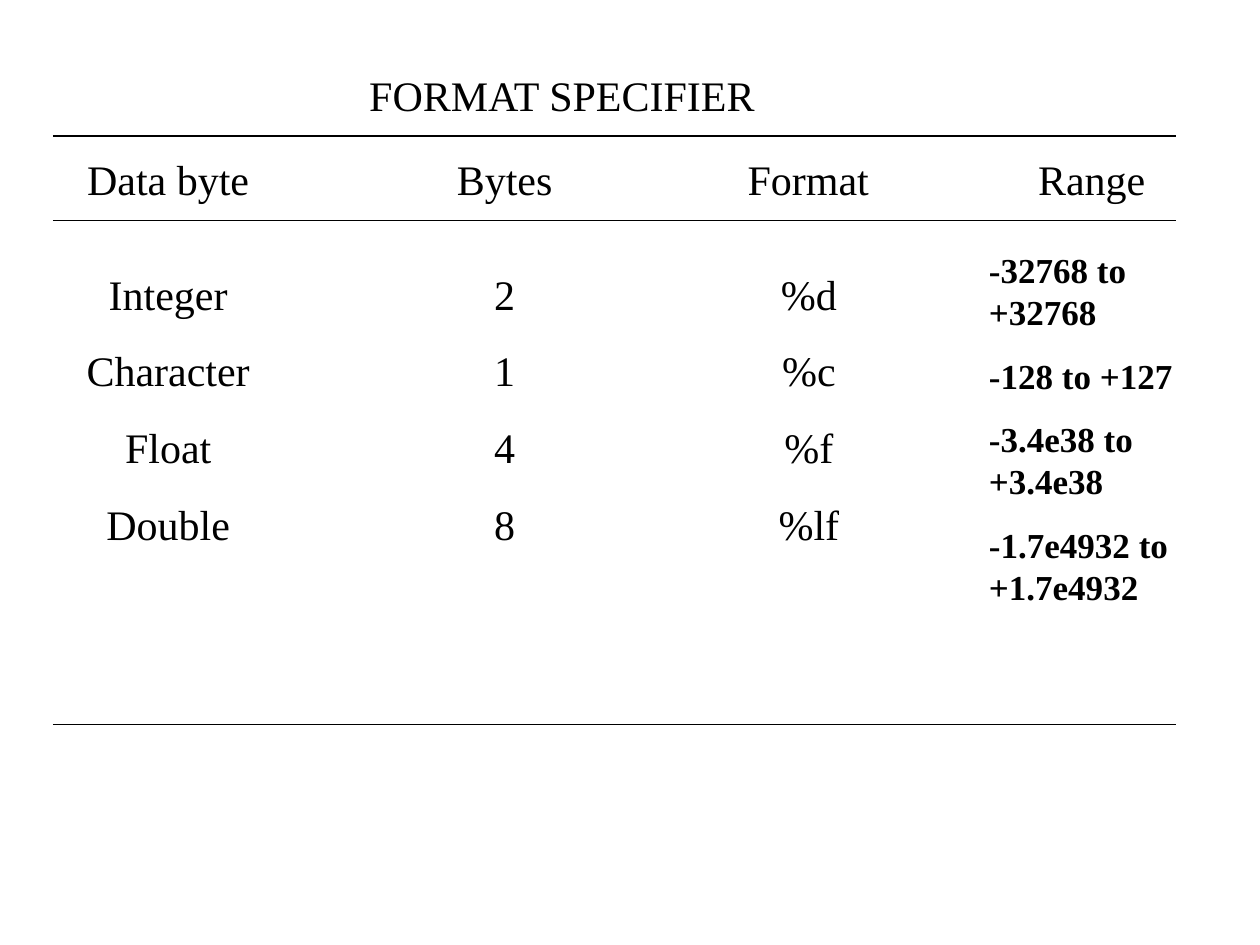
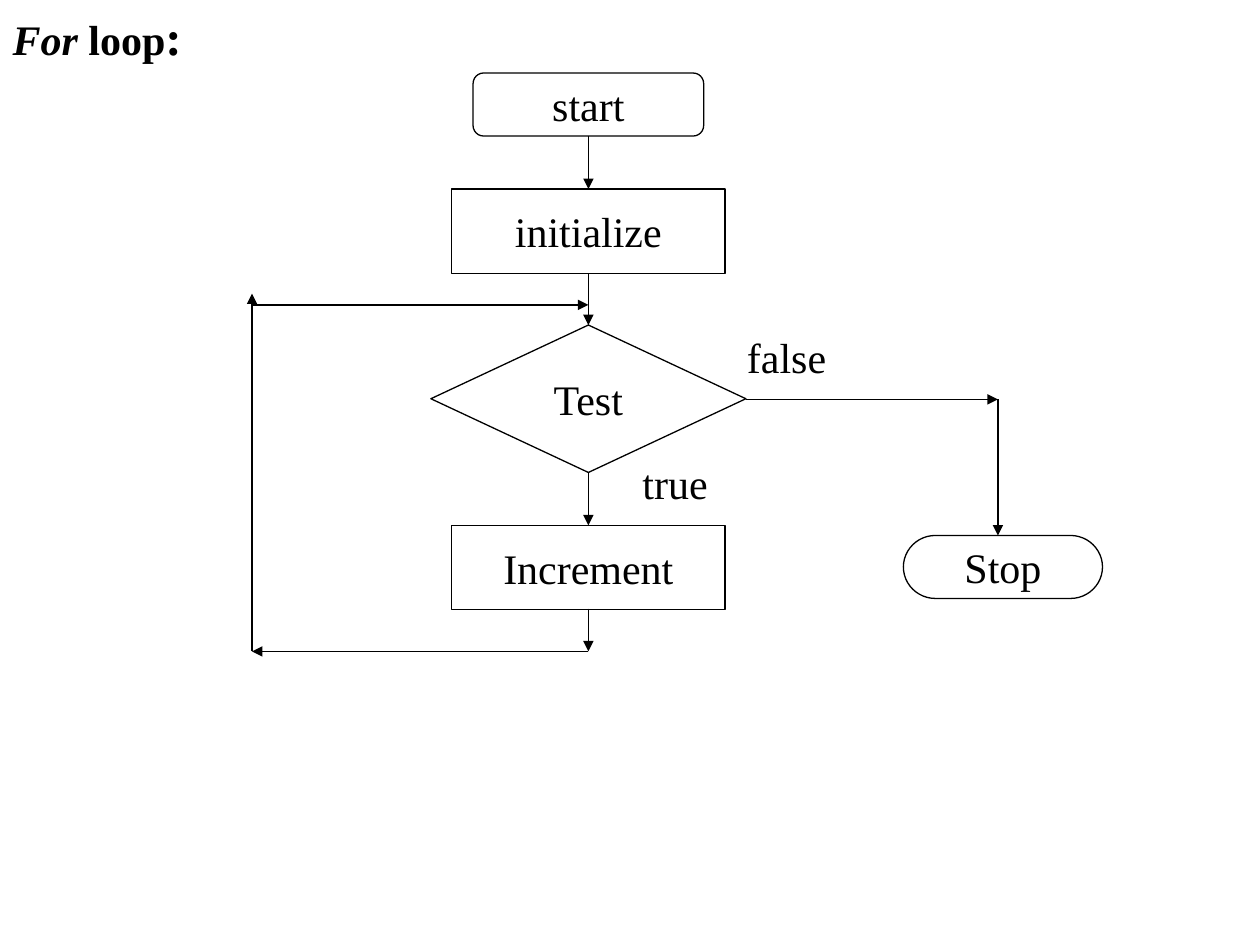
import dataclasses
import itertools

import pptx
import pptx.dml.color
import pptx.enum.shapes
import pptx.enum.text
import pptx.oxml
import pptx.oxml.ns
import pptx.util

Inches = pptx.util.Inches
Pt = pptx.util.Pt
Align = pptx.enum.text.PP_ALIGN
Anchor = pptx.enum.text.MSO_ANCHOR
Fit = pptx.enum.text.MSO_AUTO_SIZE
Kind = pptx.enum.shapes.MSO_SHAPE


@dataclasses.dataclass(frozen=True)
class Theme:
    ink: pptx.dml.color.RGBColor = pptx.dml.color.RGBColor(0, 0, 0)
    paper: pptx.dml.color.RGBColor = pptx.dml.color.RGBColor(255, 255, 255)
    font: str = "Times New Roman"
    body: float = 24
    small: float = 20
    large: float = 28
    line: float = 0.75


THEME = Theme()


def write_text(shape, paragraphs, size=THEME.body, bold=False, align=Align.CENTER,
               before=15, anchor=Anchor.TOP, wrap=True, fit=Fit.SHAPE_TO_FIT_TEXT):
    frame = shape.text_frame
    frame.word_wrap = wrap
    frame.auto_size = fit
    frame.vertical_anchor = anchor
    for index, spans in enumerate(paragraphs):
        para = frame.add_paragraph() if index else frame.paragraphs[0]
        para.alignment = align
        para.space_before = Pt(before)
        if isinstance(spans, str):
            spans = [(spans, {})]
        for text, changes in spans:
            span = para.add_run()
            span.text = text
            span.font.name = THEME.font
            span.font.size = Pt(changes.get("size", size))
            span.font.bold = bold
            span.font.italic = changes.get("italic", False)
            span.font.color.rgb = THEME.ink


def add_page(deck, title, left, top, width, height, **format):
    page = deck.slides.add_slide(deck.slide_layouts[5])
    box = page.shapes.title
    box.left, box.top = Inches(left), Inches(top)
    box.width, box.height = Inches(width), Inches(height)
    write_text(box, [title], **format)
    return page


def add_text(page, paragraphs, left, top, width, height=0.5, **format):
    box = page.shapes.add_textbox(Inches(left), Inches(top), Inches(width), Inches(height))
    write_text(box, paragraphs, **format)


def add_line(page, start, end, arrow=False):
    line = page.shapes.add_connector(
        pptx.enum.shapes.MSO_CONNECTOR.STRAIGHT,
        *(Inches(length) for length in (*start, *end)))
    line.line.color.rgb = THEME.ink
    line.line.width = Pt(THEME.line)
    properties = line._element.spPr
    if arrow:
        head = pptx.oxml.parse_xml(
            f'<a:tailEnd {pptx.oxml.ns.nsdecls("a")} type="triangle"/>')
        properties.find(pptx.oxml.ns.qn("a:ln")).append(head)
    properties.append(pptx.oxml.parse_xml(f'<a:effectLst {pptx.oxml.ns.nsdecls("a")}/>'))


def add_arrows(page, *points):
    for start, end in itertools.pairwise(points):
        add_line(page, start, end, arrow=True)


def add_node(page, kind, text, center, top, width, height):
    node = page.shapes.add_shape(kind, Inches(center - width / 2), Inches(top),
                                 Inches(width), Inches(height))
    node.shadow.inherit = False
    node.fill.solid()
    node.fill.fore_color.rgb = THEME.paper
    node.line.color.rgb = THEME.ink
    node.line.width = Pt(THEME.line)
    write_text(node, [text], before=0, anchor=Anchor.MIDDLE, wrap=False, fit=Fit.NONE)


def build_format_page(deck):
    page = add_page(deck, "FORMAT SPECIFIER", 1.67, 0.5, 5.58, 0.5)
    for rule in (1.08, 1.75, 5.75):
        add_line(page, (0.42, rule), (9.33, rule))
    for heading, left in (("Data byte", 0.5), ("Bytes", 3.17), ("Format", 5.58), ("Range", 7.83)):
        add_text(page, [heading], left, 1.17, 1.67)
    columns = (
        (("Integer", "Character", "Float", "Double"), 0.25, 2.17, 2.94),
        (("2", "1", "4", "8"), 3.67, 0.67, 2.33),
        (("%d", "%c", "%f", "%lf"), 5.67, 1.5, 2.33),
    )
    for values, left, width, height in columns:
        add_text(page, values, left, 2.08, width, height)
    ranges = ("-32768 to +32768", "-128 to +127", "-3.4e38 to +3.4e38",
              "-1.7e4932 to +1.7e4932")
    add_text(page, ranges, 7.75, 1.92, 1.92, 2.96, size=THEME.small, bold=True,
             align=Align.LEFT, before=12.5)


def build_loop_page(deck):
    title = [("For", {"italic": True}), (" loop", {}), (":", {"size": THEME.large})]
    page = add_page(deck, title, 0, 0, 6.75, 0.57, bold=True, align=Align.LEFT, before=17.5)
    spine, return_side, exit_side = 4.67, 2, 7.92
    nodes = (
        (Kind.FLOWCHART_ALTERNATE_PROCESS, "start", spine, 0.58, 1.83, 0.5),
        (Kind.FLOWCHART_PROCESS, "initialize", spine, 1.5, 2.17, 0.67),
        (Kind.FLOWCHART_DECISION, "Test", spine, 2.58, 2.5, 1.17),
        (Kind.FLOWCHART_PROCESS, "Increment", spine, 4.17, 2.17, 0.67),
        (Kind.FLOWCHART_TERMINATOR, "Stop", 7.96, 4.25, 1.58, 0.5),
    )
    for node in nodes:
        add_node(page, *node)
    for start, end in ((1.08, 1.5), (2.17, 2.58), (3.75, 4.17)):
        add_arrows(page, (spine, start), (spine, end))
    add_arrows(page, (spine, 4.83), (spine, 5.17), (return_side, 5.17), (return_side, 2.33))
    add_arrows(page, (return_side, 2.42), (spine, 2.42))
    add_arrows(page, (5.92, 3.17), (exit_side, 3.17), (exit_side, 4.25))
    add_text(page, ["true"], 5, 3.58, 0.92, align=Align.LEFT)
    add_text(page, ["false"], 5.83, 2.58, 2.58, align=Align.LEFT)


def main():
    deck = pptx.Presentation()
    deck.slide_width, deck.slide_height = Inches(10), Inches(7.5)
    build_format_page(deck)
    build_loop_page(deck)
    deck.save("out.pptx")


if __name__ == "__main__":
    main()
